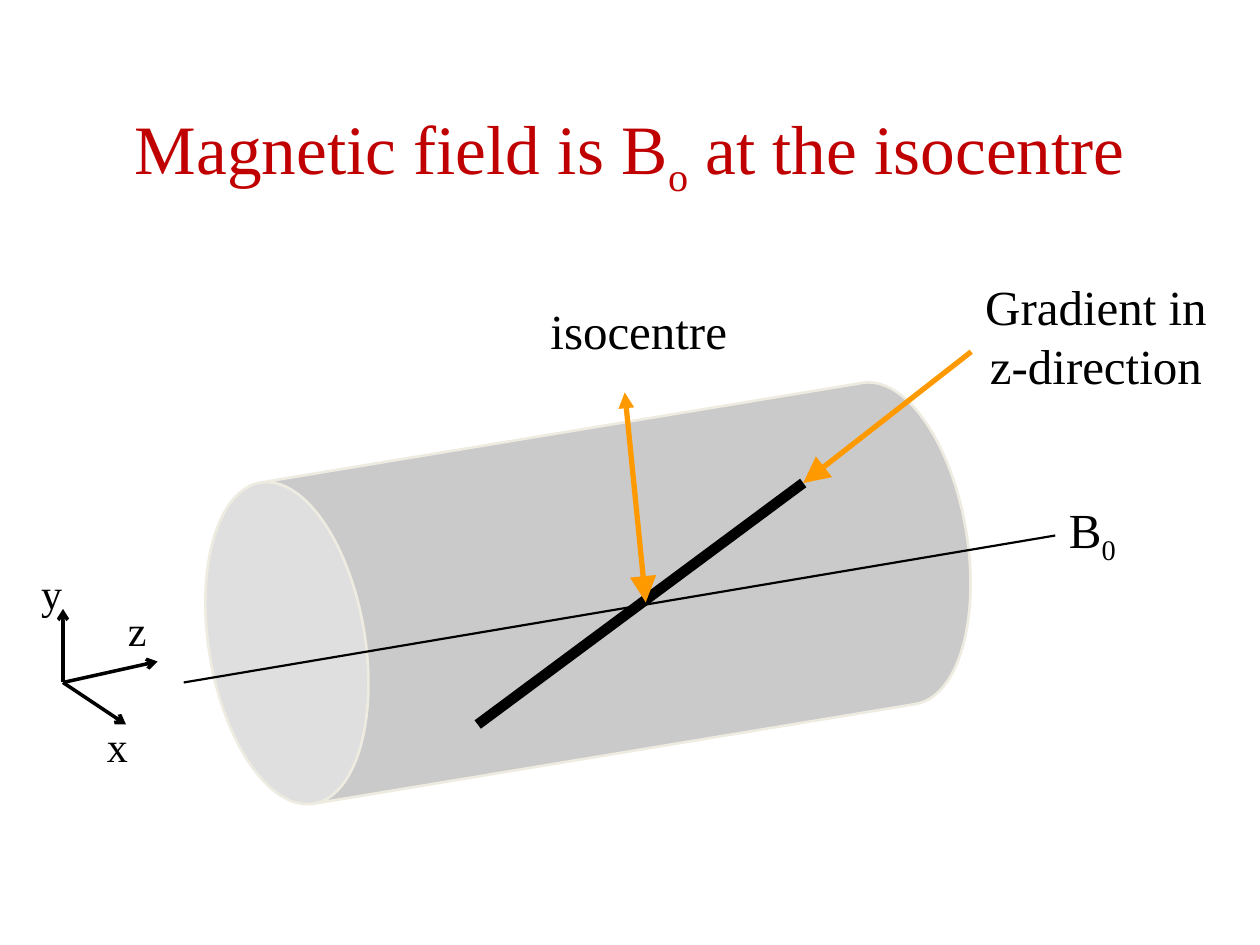
from lxml import etree
from pptx import Presentation
from pptx.dml.color import RGBColor
from pptx.enum.shapes import MSO_CONNECTOR, MSO_SHAPE
from pptx.enum.text import MSO_ANCHOR, MSO_AUTO_SIZE, PP_ALIGN
from pptx.oxml.ns import qn
from pptx.util import Pt

PX = 9525  # EMU in one px, 96 px to the inch
COLORS = {
    "title": "C00000",
    "ink": "000000",
    "bore": "969696",
    "bore_edge": "EEECE1",
    "pointer": "FF9900",
}


def add_line(start, end, color, width, **arrowheads):
    """Draw a line; arrowheads maps headEnd or tailEnd to (type, size)."""
    line = slide.shapes.add_connector(
        MSO_CONNECTOR.STRAIGHT, *(v * PX for v in start + end))
    line.line.color.rgb = RGBColor.from_string(COLORS[color])
    line.line.width = Pt(width)
    outline = line.line._get_or_add_ln()
    for tag in ("headEnd", "tailEnd"):
        if tag in arrowheads:
            kind, size = arrowheads[tag]
            etree.SubElement(outline, qn(f"a:{tag}"), type=kind, w=size, len=size)
    etree.SubElement(line._element.spPr, qn("a:effectLst"))


def add_label(box, parts, size, color="ink", **frame_format):
    """Add text whose second part, if any, is a subscript."""
    frame = slide.shapes.add_textbox(*(v * PX for v in box)).text_frame
    settings = {"word_wrap": False, "auto_size": MSO_AUTO_SIZE.SHAPE_TO_FIT_TEXT}
    for name, value in (settings | frame_format).items():
        setattr(frame, name, value)
    paragraph = frame.paragraphs[0]
    paragraph.alignment = PP_ALIGN.CENTER if frame.word_wrap else PP_ALIGN.LEFT
    for index, part in enumerate(parts):
        run = paragraph.add_run()
        run.text = part
        font_format = {"name": "Times New Roman", "size": Pt(size)}
        for name, value in font_format.items():
            setattr(run.font, name, value)
        run.font.color.rgb = RGBColor.from_string(COLORS[color])
        if index == 1:
            run._r.get_or_add_rPr().set("baseline", "-25000")


prs = Presentation()
prs.slide_width, prs.slide_height = 960 * PX, 720 * PX
slide = prs.slides.add_slide(prs.slide_layouts[6])

add_label((72, 56, 816, 120), ["Magnetic field is B", "o", " at the isocentre"],
          39.6, "title", word_wrap=True, auto_size=MSO_AUTO_SIZE.NONE,
          vertical_anchor=MSO_ANCHOR.MIDDLE)

# Magnet bore
bore = slide.shapes.add_shape(
    MSO_SHAPE.CAN, *(v * PX for v in (324, 160, 248, 584)))
bore.rotation = 260.6
bore.adjustments[0] = 0.48
bore.shadow.inherit = False
bore.fill.solid()
bore.fill.fore_color.rgb = RGBColor.from_string(COLORS["bore"])
bore_color = bore._element.spPr.find(qn("a:solidFill"))[0]
etree.SubElement(bore_color, qn("a:alpha"), val="50000")
bore.line.color.rgb = RGBColor.from_string(COLORS["bore_edge"])
bore.line.width = Pt(1.5)

# Field axis and gradient, with their pointers
gradient_end = (612, 368)
add_line((140, 520), (804, 408), "ink", 1.25)
add_line((364, 552), gradient_end, "ink", 6)
add_line((492, 459), (476, 299), "pointer", 3,
         headEnd=("triangle", "lg"), tailEnd=("triangle", "med"))
add_label((410, 224, 156, 55), ["isocentre"], 28)
add_line(gradient_end, (740, 268), "pointer", 3, headEnd=("triangle", "lg"))
add_label((725, 206, 220, 100), ["Gradient in z-direction"], 28, word_wrap=True)
add_label((805, 376, 59, 55), ["B", "0"], 28)

# Coordinate axes
origin = (48, 520)
for axis, tip, corner in (
    ("z", (120, 504), (88, 456)),
    ("x", (96, 552), (72, 544)),
    ("y", (48, 464), (22, 428)),
):
    add_line(origin, tip, "ink", 2, tailEnd=("arrow", "med"))
    add_label(corner + (35, 48), [axis], 24)

prs.save("out.pptx")
